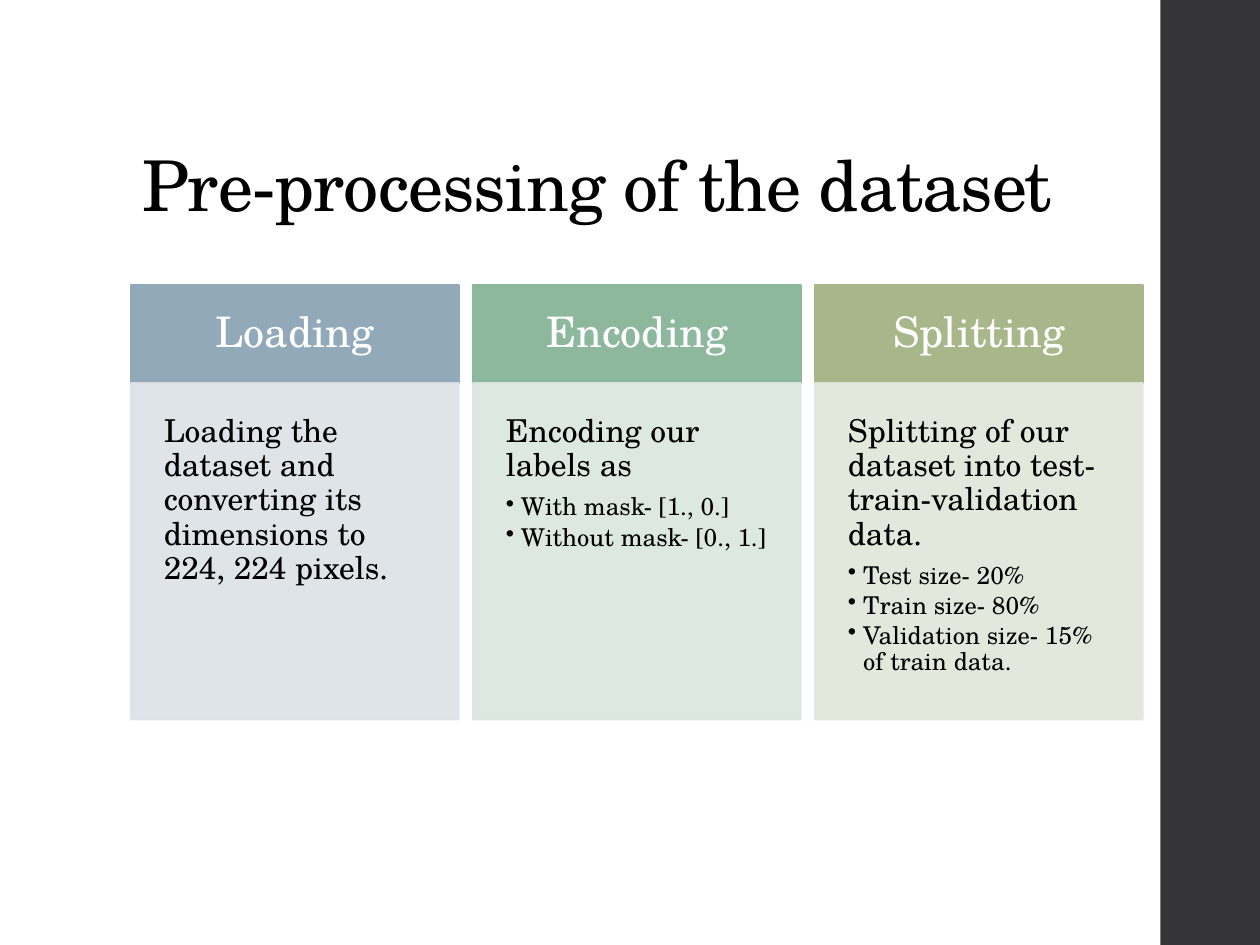
from dataclasses import dataclass

from lxml import etree
from pptx import Presentation
from pptx.dml.color import RGBColor
from pptx.enum.shapes import MSO_SHAPE
from pptx.enum.text import MSO_ANCHOR, PP_ALIGN
from pptx.oxml.ns import qn
from pptx.util import Emu, Inches, Pt

RECTANGLE = MSO_SHAPE.RECTANGLE
TOP, MIDDLE, BOTTOM = MSO_ANCHOR.TOP, MSO_ANCHOR.MIDDLE, MSO_ANCHOR.BOTTOM
LEFT, CENTER = PP_ALIGN.LEFT, PP_ALIGN.CENTER
PAGE_WIDTH, PAGE_HEIGHT = Inches(10), Inches(7.5)


@dataclass(frozen=True)
class Theme:
    font: str = "TeX Gyre Schola"
    ink: str = "000000"
    paper: str = "FFFFFF"
    band: str = "353537"
    title_size: int = 40
    heading_size: int = 24
    body_size: int = 18
    bullet_size: int = 14
    title_tracking: int = -50
    outline: float = 1.1
    line_spacing: float = 0.9
    body_gap: float = 0.35
    bullet_gap: float = 0.15
    panel_opacity: int = 90


THEME = Theme()


@dataclass(frozen=True)
class Box:
    """A region in percent of the page's width and height."""

    left: float
    top: float
    width: float
    height: float

    def place(self):
        across, down = PAGE_WIDTH / 100, PAGE_HEIGHT / 100
        return (Emu(round(self.left * across)), Emu(round(self.top * down)),
                Emu(round(self.width * across)), Emu(round(self.height * down)))

    def columns(self, count, gap):
        width = (self.width - gap * (count - 1)) / count
        return [Box(self.left + index * (width + gap), self.top, width, self.height)
                for index in range(count)]

    def split_rows(self, share):
        upper = self.height * share
        return (Box(self.left, self.top, self.width, upper),
                Box(self.left, self.top + upper, self.width, self.height - upper))


TITLE_BOX = Box(10.3, 5.33, 79.5, 19.33)
BAND_BOX = Box(92.1, 0, 8, 100)
CARDS_BOX = Box(10.4, 30.13, 80.3, 46)
CARD_GAP = 1.15
HEADING_SHARE = 0.226
HEADING_INSET, BODY_INSET = 2.1, 2.6

CARDS = [
    ("Loading", "92A9B9", "DCE2E6",
     "Loading the dataset and converting its dimensions to 224, 224 pixels.", []),
    ("Encoding", "8EB89E", "DBE6DF", "Encoding our labels as",
     ["With mask- [1., 0.]", "Without mask- [0., 1.]"]),
    ("Splitting", "A7B789", "E1E6DA",
     "Splitting of our dataset into test-train-validation data.",
     ["Test size- 20%", "Train size- 80%", "Validation size- 15% of train data."]),
]


def add_rectangle(page, box, color, outlined=True, opacity=100):
    shape = page.shapes.add_shape(RECTANGLE, *box.place())
    shape.shadow.inherit = False
    shape.fill.solid()
    shape.fill.fore_color.rgb = RGBColor.from_string(color)
    if outlined:
        shape.line.color.rgb = RGBColor.from_string(color)
        shape.line.width = Pt(THEME.outline)
    else:
        shape.line.fill.background()
    if opacity < 100:
        for tone in shape._element.spPr.iter(qn("a:srgbClr")):
            etree.SubElement(tone, qn("a:alpha"), val=str(opacity * 1000))
    return shape


def set_frame(shape, anchor, inset=None):
    frame = shape.text_frame
    frame.word_wrap = True
    frame.vertical_anchor = anchor
    if inset is not None:
        margin = Emu(round(PAGE_WIDTH * inset / 100))
        frame.margin_left = frame.margin_right = margin
        frame.margin_top = frame.margin_bottom = margin
    return frame


def write(para, text, size, color, align=LEFT, gap=0):
    para.alignment = align
    para.line_spacing = THEME.line_spacing
    para.space_after = Pt(round(size * gap, 1))
    span = para.add_run()
    span.text = text
    span.font.name = THEME.font
    span.font.size = Pt(size)
    span.font.color.rgb = RGBColor.from_string(color)
    return span


def add_bullet(para):
    indent = Inches(0.12)
    properties = para._p.get_or_add_pPr()
    properties.set("marL", str(indent))
    properties.set("indent", str(-indent))
    etree.SubElement(properties, qn("a:buChar"), char="•")


def draw_band(page, box):
    add_rectangle(page, box, THEME.band, outlined=False)


def draw_title(page, box, text):
    frame = set_frame(page.shapes.add_textbox(*box.place()), BOTTOM)
    span = write(frame.paragraphs[0], text, THEME.title_size, THEME.ink)
    span._r.get_or_add_rPr().set("spc", str(THEME.title_tracking))


def draw_card(page, box, heading, accent, tint, summary, bullets):
    heading_box, body_box = box.split_rows(HEADING_SHARE)
    header = set_frame(add_rectangle(page, heading_box, accent), MIDDLE, HEADING_INSET)
    write(header.paragraphs[0], heading, THEME.heading_size, THEME.paper, CENTER)

    panel = add_rectangle(page, body_box, tint, opacity=THEME.panel_opacity)
    body = set_frame(panel, TOP, BODY_INSET)
    write(body.paragraphs[0], summary, THEME.body_size, THEME.ink, gap=THEME.body_gap)
    for bullet in bullets:
        para = body.add_paragraph()
        write(para, bullet, THEME.bullet_size, THEME.ink, gap=THEME.bullet_gap)
        add_bullet(para)


def main():
    deck = Presentation()
    deck.slide_width, deck.slide_height = PAGE_WIDTH, PAGE_HEIGHT
    page = deck.slides.add_slide(deck.slide_layouts[6])
    draw_band(page, BAND_BOX)
    draw_title(page, TITLE_BOX, "Pre-processing of the dataset")
    for box, card in zip(CARDS_BOX.columns(len(CARDS), CARD_GAP), CARDS):
        draw_card(page, box, *card)
    deck.save("out.pptx")


if __name__ == "__main__":
    main()
